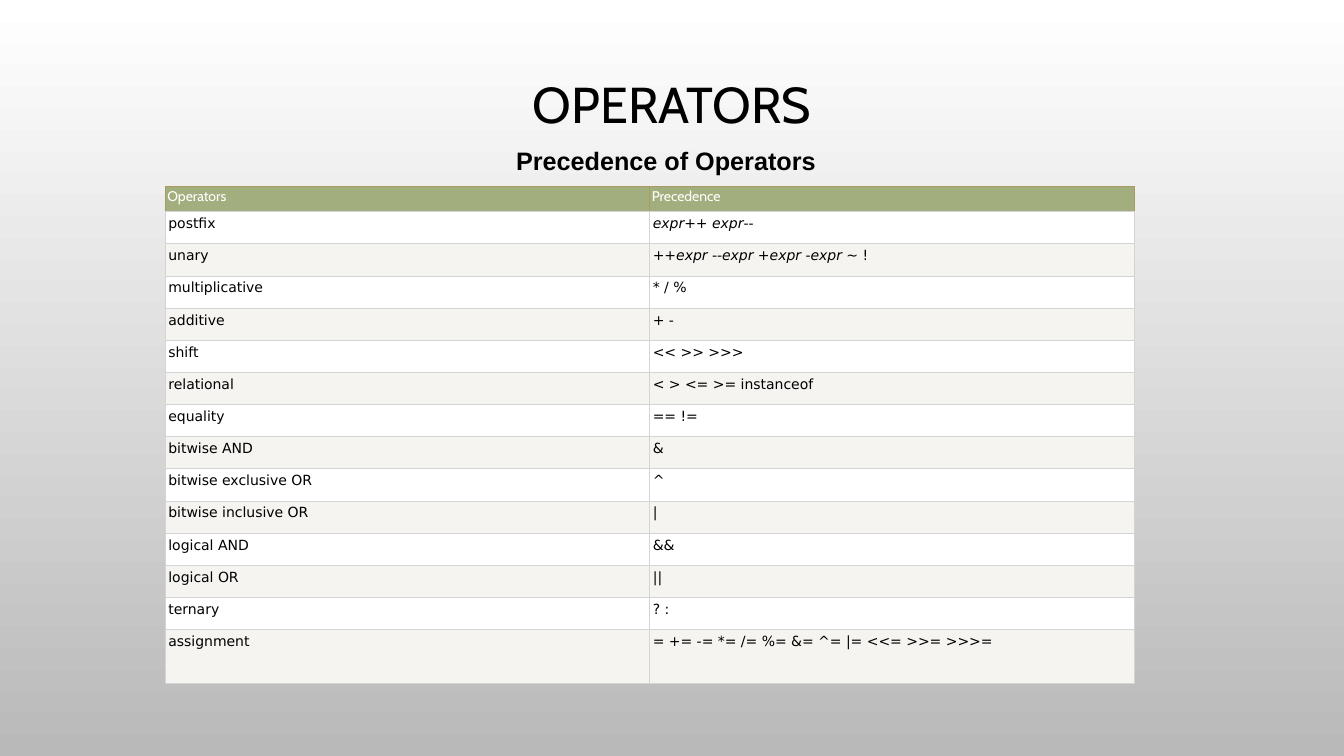
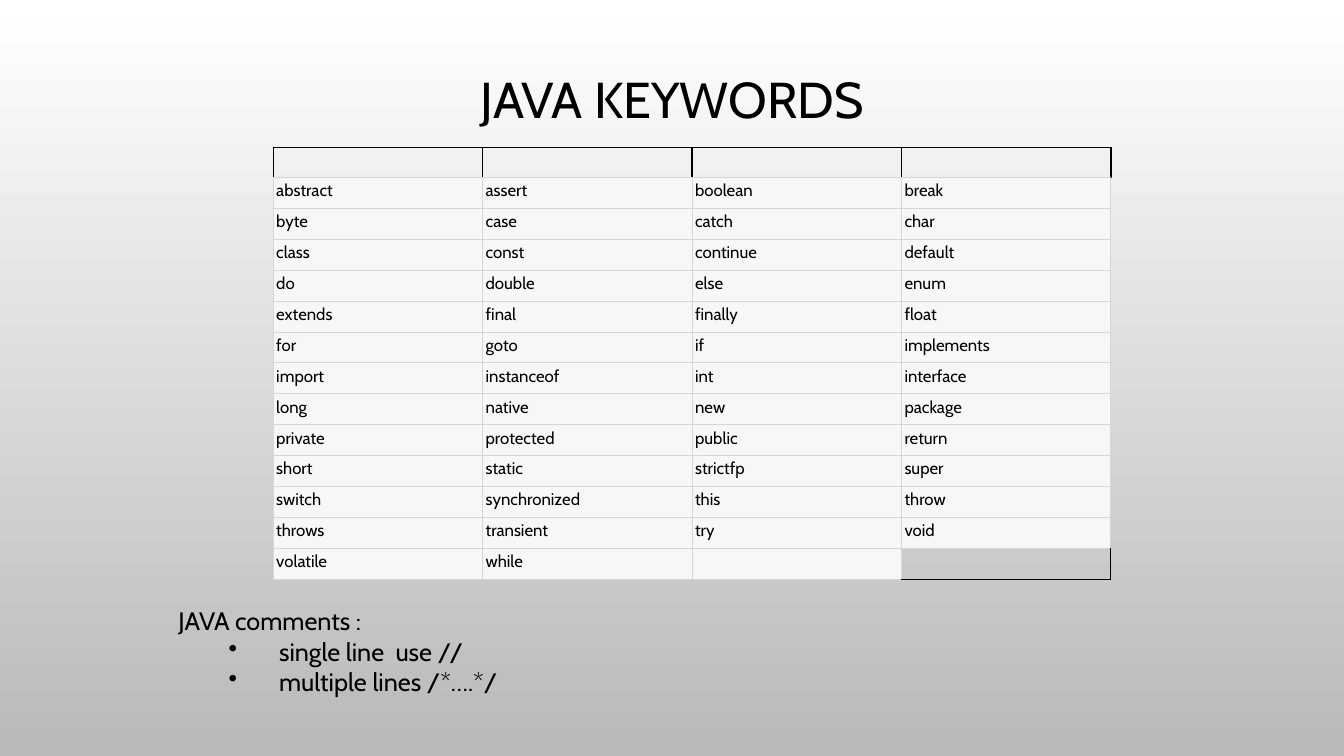
from pptx import Presentation, util as u
from pptx.dml.color import RGBColor
from pptx.enum import text
from pptx.oxml import ns, xmlchemy
from lxml import etree

HUES = {
    "ink": "000000", "white": "FFFFFF", "smoke": "B9B9B9", "sage": "A3AE7E",
    "gold": "AB9A61", "cream": "F6F4F0", "pale": "F7F7F7", "rule": "D4D4D4", "line": "D6D6D6",
}
PLAIN = "{2D5ABB26-0587-4C30-8999-92F81FD0307C}"
SIDES = {"L": "lnL", "R": "lnR", "T": "lnT", "B": "lnB"}

TITLE = {"name": "Cabin", "size": u.Pt(36)}
SUB = {"name": "Arial", "size": u.Pt(18), "bold": True}
NOTE = {"name": "Cabin", "size": u.Pt(18)}
HEAD = {"name": "Cabin", "size": u.Pt(10)}
CODE = {"name": "DejaVu Sans", "size": u.Pt(10)}
WORD = {"name": "Cabin", "size": u.Pt(12)}
MID = {"alignment": text.PP_ALIGN.CENTER, "line_spacing": 0.9}

RANKS = [
    ("Operators", "Precedence"),
    ("postfix", "_expr_++ _expr_--"),
    ("unary", "++_expr_ --_expr_ +_expr_ -_expr_ ~ !"),
    ("multiplicative", "* / %"),
    ("additive", "+ -"),
    ("shift", "<< >> >>>"),
    ("relational", "< > <= >= instanceof"),
    ("equality", "== !="),
    ("bitwise AND", "&"),
    ("bitwise exclusive OR", "^"),
    ("bitwise inclusive OR", "|"),
    ("logical AND", "&&"),
    ("logical OR", "||"),
    ("ternary", "? :"),
    ("assignment", "= += -= *= /= %= &= ^= |= <<= >>= >>>="),
]
WORDS = """abstract assert boolean break byte case catch char class const continue default
do double else enum extends final finally float for goto if implements
import instanceof int interface long native new package private protected public return
short static strictfp super switch synchronized this throw throws transient try void
volatile while""".split() + ["", ""]
KEYS = [[""] * 4] + [WORDS[i:i + 4] for i in range(0, len(WORDS), 4)]


def write(para, words, look, hue="ink"):
    for turn, part in enumerate(words.split("_")):
        if part:
            run = para.add_run()
            run.text = part
            for key, val in look.items():
                setattr(run.font, key, val)
            run.font.italic = turn % 2 == 1
            run.font.color.rgb = RGBColor.from_string(HUES[hue])
    if not words:
        end = etree.SubElement(para._p, ns.qn("a:endParaRPr"))
        end.set("sz", str(int(look["size"].pt * 100)))


def paint(cell, fill, edges):
    if fill:
        cell.fill.solid()
        cell.fill.fore_color.rgb = RGBColor.from_string(HUES[fill])
    else:
        cell.fill.background()
    props = cell._tc.get_or_add_tcPr()
    for spot, (side, tag) in enumerate(SIDES.items()):
        hue, width = edges[side]
        line = etree.Element(ns.qn("a:" + tag), w=str(u.Pt(width)))
        solid = etree.SubElement(line, ns.qn("a:solidFill"))
        etree.SubElement(solid, ns.qn("a:srgbClr"), val=HUES[hue])
        props.insert(spot, line)


deck = Presentation()
deck.slide_width, deck.slide_height = u.Inches(13.33), u.Inches(7.5)
back = deck.slide_master.background.fill
back.gradient()
back.gradient_angle = 270
for stop, hue in zip(back.gradient_stops, ("white", "smoke")):
    stop.color.rgb = RGBColor.from_string(HUES[hue])
ops, keys = [deck.slides.add_slide(deck.slide_layouts[6]) for _ in range(2)]

thin = dict.fromkeys("LRTB", ("rule", 0.75))
gilt = {**dict.fromkeys("LRT", ("gold", 0.75)), "B": ("rule", 0.75)}
fine = dict.fromkeys("LRTB", ("line", 0.75))
dark = {**dict.fromkeys("LRT", ("ink", 1)), "B": ("line", 0.75)}
last = {**fine, "R": ("ink", 0.75), "B": ("ink", 0.75)}

GRIDS = [
    {"page": ops, "box": (1.64, 1.85, 9.61, 4.94), "rows": RANKS, "top": 0.25, "foot": 0.22,
     "look": CODE, "pad": (0.03, 0.04), "crown": ("sage", gilt), "bands": ("cream", "white"),
     "edges": thin, "final": ("cream", thin)},
    {"page": keys, "box": (2.71, 1.46, 8.31, 4.29), "rows": KEYS, "top": 0.3, "foot": 0,
     "look": WORD, "pad": (0.03, 0.03), "crown": (None, dark), "bands": ("pale", "pale"),
     "edges": fine, "final": (None, last)},
]
for grid in GRIDS:
    rows, box = grid["rows"], grid["box"]
    deep, wide = len(rows), len(rows[0])
    frame = grid["page"].shapes.add_table(deep, wide, *map(u.Inches, box))
    frame.element.find(".//" + ns.qn("a:tableStyleId")).text = PLAIN
    table = frame.table
    table.first_row = table.horz_banding = False
    for col in table.columns:
        col.width = u.Inches(box[2] / wide)
    step = (box[3] - grid["top"] - grid["foot"]) / (deep - 1)
    for r, row in enumerate(rows):
        high = grid["top"] if r == 0 else step + grid["foot"] * (r == deep - 1)
        table.rows[r].height = u.Inches(high)
        for c, words in enumerate(row):
            cell = table.cell(r, c)
            crown = r == 0
            side, cap = (0.02, 0.02) if crown else grid["pad"]
            pads = {"left": side, "right": side, "top": cap, "bottom": cap}
            for key, val in pads.items():
                setattr(cell, "margin_" + key, u.Inches(val))
            if crown:
                style = grid["crown"]
            elif (r, c) == (deep - 1, wide - 1):
                style = grid["final"]
            else:
                style = (grid["bands"][r % 2], grid["edges"])
            paint(cell, *style)
            write(cell.text_frame.paragraphs[0], words,
                  HEAD if crown else grid["look"], "white" if crown else "ink")

MIDDLE, TOP = text.MSO_ANCHOR.MIDDLE, text.MSO_ANCHOR.TOP
NOTES = [
    (ops, (1, 0.68, 11.33, 0.76), MIDDLE, TITLE, MID, ["OPERATORS"]),
    (ops, (5.02, 1.39, 3.82, 0.4), MIDDLE, SUB, {}, ["Precedence of Operators"]),
    (keys, (1, 0.68, 11.33, 0.67), MIDDLE, TITLE, MID, ["JAVA KEYWORDS"]),
    (keys, (1.67, 5.96, 9.82, 1.01), TOP, NOTE, {},
     ["JAVA comments :", "single line  use //", "multiple lines /*….*/"]),
]
for page, box, anchor, look, form, lines in NOTES:
    frame = page.shapes.add_textbox(*map(u.Inches, box)).text_frame
    frame.word_wrap, frame.vertical_anchor = True, anchor
    for i, words in enumerate(lines):
        para = frame.add_paragraph() if i else frame.paragraphs[0]
        for key, val in form.items():
            setattr(para, key, val)
        if i:
            para.level = 1
            props = para._p.get_or_add_pPr()
            props.set("marL", str(u.Inches(1)))
            props.set("indent", str(u.Inches(-0.5)))
            etree.SubElement(props, ns.qn("a:buChar"), char="•")
        write(para, words, look)

deck.save("out.pptx")
